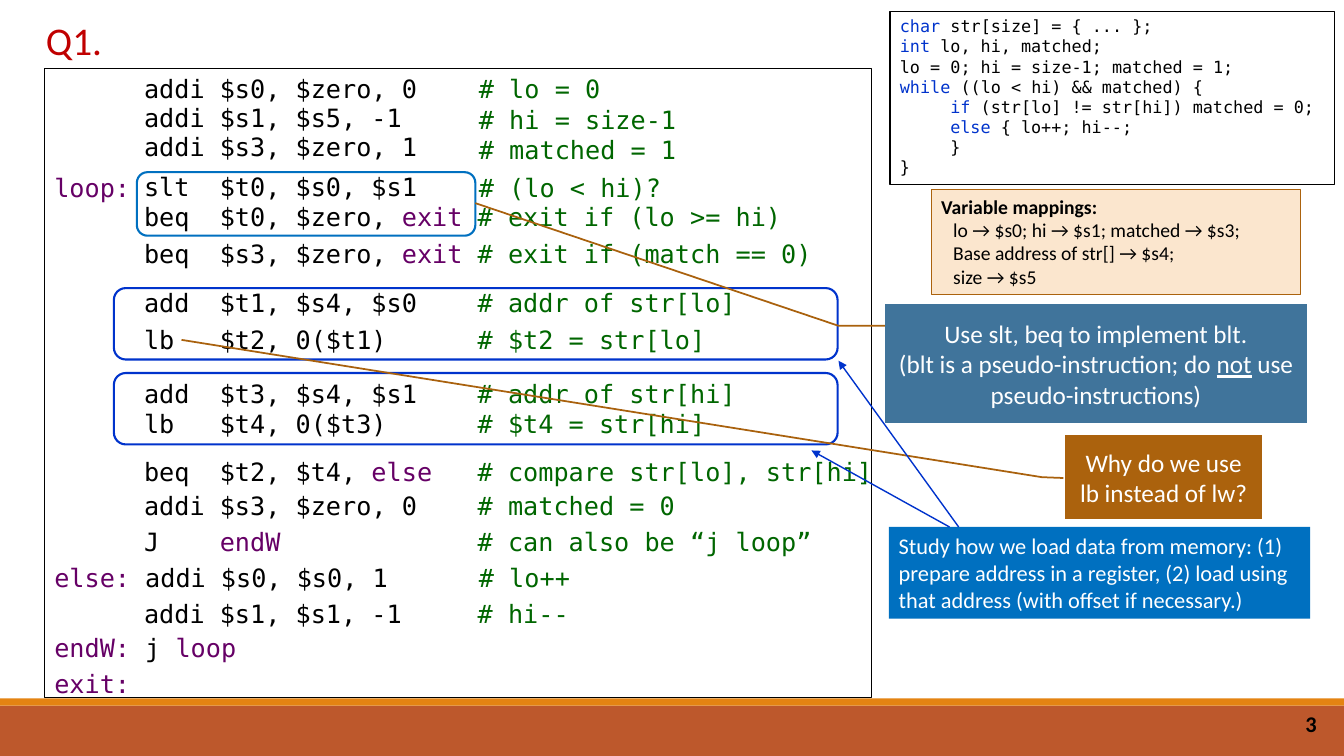
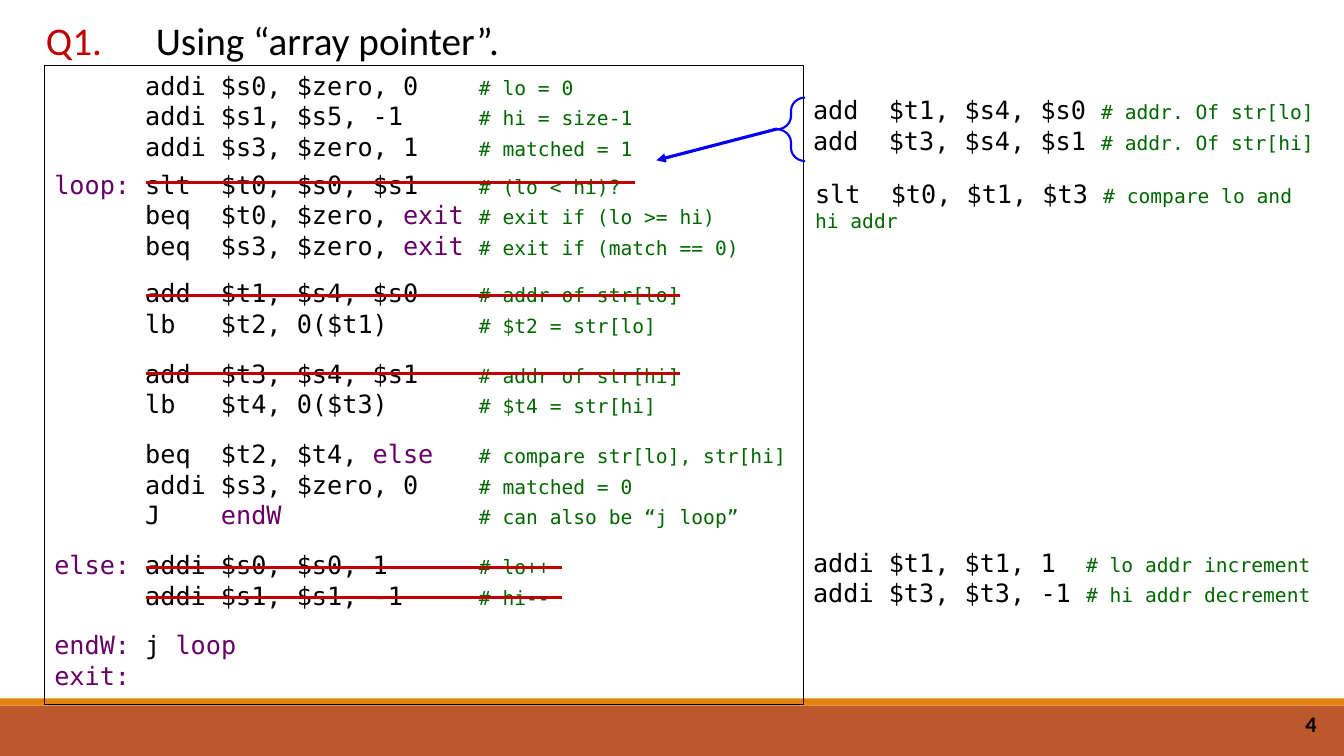
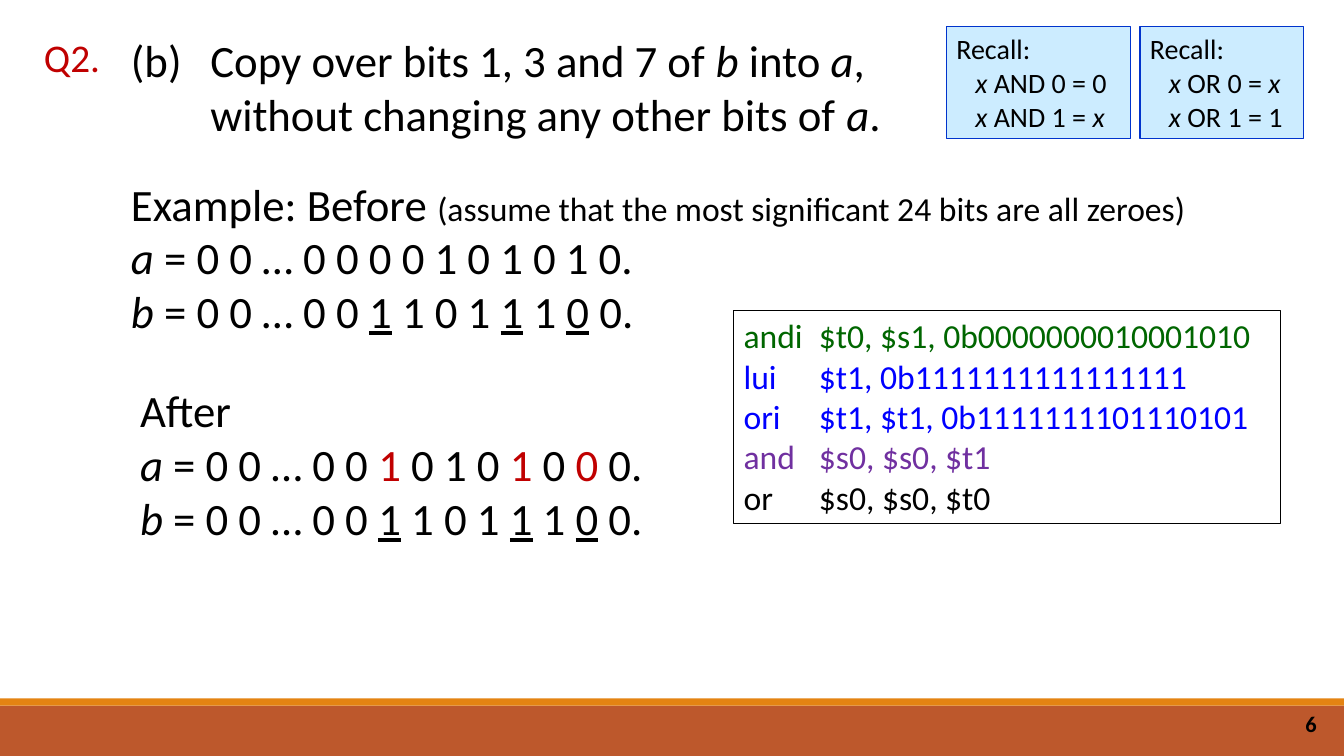
import pptx
import pptx.dml.color
import pptx.enum.shapes
import pptx.enum.text
import pptx.oxml.ns
import pptx.util
import lxml.etree

Cm = pptx.util.Cm
Pt = pptx.util.Pt
SHAPE = pptx.enum.shapes.MSO_SHAPE
ALIGN = pptx.enum.text.PP_ALIGN
ANCHOR = pptx.enum.text.MSO_ANCHOR
qn = pptx.oxml.ns.qn

SANS = "Calibri"
MONO = "DejaVu Sans Mono"
COLORS = {
    "black": "000000", "white": "FFFFFF", "red": "C00000", "green": "006600",
    "purple": "660066", "violet": "7030A0", "keyword": "0033CC", "blue": "0000FF",
    "azure": "0070C0", "steel": "40749B", "brown": "AB620D", "leader": "A9610D",
    "cream": "FBE6CE", "ice": "CCECFF", "band": "BD582C", "stripe": "E48312",
}


def rgb(name):
    return pptx.dml.color.RGBColor.from_string(COLORS[name])


def add_box(slide, text, left, top, width, height, *, geometry=SHAPE.RECTANGLE,
            adjustments=(), fill=None, line=None, line_width=0.75, font=SANS,
            size=18, color="black", bold=False, align=ALIGN.LEFT,
            anchor=ANCHOR.TOP, tabs=(), hanging=0, space_before={}):
    """Text lines are paragraphs; "|style words|" starts a run in that style."""
    place = [Cm(length) for length in (left, top, width, height)]
    if fill or line:
        shape = slide.shapes.add_shape(geometry, *place)
        shape.shadow.inherit = False
        for index, value in enumerate(adjustments):
            shape.adjustments[index] = value
    else:
        shape = slide.shapes.add_textbox(*place)
    if fill:
        shape.fill.solid()
        shape.fill.fore_color.rgb = rgb(fill)
    else:
        shape.fill.background()
    if line:
        shape.line.color.rgb = rgb(line)
        shape.line.width = Pt(line_width)
    else:
        shape.line.fill.background()

    frame = shape.text_frame
    frame.word_wrap = True
    frame.vertical_anchor = anchor
    for index, content in enumerate(text.split("\n") if text else []):
        paragraph = frame.add_paragraph() if index else frame.paragraphs[0]
        paragraph.alignment = align
        paragraph.space_before = Pt(space_before.get(index, 0))
        properties = paragraph._p.get_or_add_pPr()
        if hanging:
            properties.set("marL", str(Cm(hanging)))
            properties.set("indent", str(-Cm(hanging)))
        if tabs:
            tab_list = lxml.etree.SubElement(properties, qn("a:tabLst"))
            for position in tabs:
                lxml.etree.SubElement(tab_list, qn("a:tab"), pos=str(Cm(position)), algn="l")
        pieces = ["", *content.split("|")]
        for style, words in zip(pieces[::2], pieces[1::2]):
            if not words:
                continue
            run = paragraph.add_run()
            run.text = words
            run.font.name = font
            run.font.size = Pt(size)
            run.font.bold = bold
            run.font.color.rgb = rgb(color)
            for word in style.split():
                if word == "i":
                    run.font.italic = True
                elif word == "u":
                    run.font.underline = True
                elif word.isdigit():
                    run.font.size = Pt(int(word))
                else:
                    run.font.color.rgb = rgb(word)


# Slides with the shared bands, page number and question label
presentation = pptx.Presentation()
presentation.slide_width = Cm(33.87)
presentation.slide_height = Cm(19.05)
slides = []
for number, question, left, top in [("3", "Q1.", 0.61, 0.28), ("4", "Q1.", 0.61, 0.28),
                                    ("6", "Q2.", 0.56, 0.71)]:
    slide = presentation.slides.add_slide(presentation.slide_layouts[6])
    add_box(slide, "", 0, 17.78, 33.87, 1.27, fill="band")
    add_box(slide, "", 0, 17.6, 33.87, 0.18, fill="stripe")
    add_box(slide, number, 25.81, 17.73, 7.62, 1.02, size=16, bold=True,
            align=ALIGN.RIGHT, anchor=ANCHOR.MIDDLE)
    add_box(slide, question, left, top, 2.51, 1.45, size=28, color="red", align=ALIGN.CENTER)
    slides.append(slide)
program_slide, pointer_slide, bits_slide = slides

# The assembly program: label, instruction, comment
program = [
    ("", "addi\t$s0, $zero, 0", "# lo = 0"),
    ("", "addi\t$s1, $s5, -1", "# hi = size-1"),
    ("", "addi\t$s3, $zero, 1", "# matched = 1"),
    ("loop:", "slt\t$t0, $s0, $s1", "# (lo < hi)?"),
    ("", "beq\t$t0, $zero, |purple|exit", "# exit if (lo >= hi)"),
    ("", "beq\t$s3, $zero, |purple|exit", "# exit if (match == 0)"),
    ("", "add\t$t1, $s4, $s0", "# addr of str[lo]"),
    ("", "lb\t$t2, 0($t1)", "# $t2 = str[lo]"),
    ("", "add\t$t3, $s4, $s1", "# addr of str[hi]"),
    ("", "lb\t$t4, 0($t3)", "# $t4 = str[hi]"),
    ("", "beq\t$t2, $t4, |purple|else", "# compare str[lo], str[hi]"),
    ("", "addi\t$s3, $zero, 0", "# matched = 0"),
    ("", "J\t|purple|endW", "# can also be “j loop”"),
    ("else:", "addi\t$s0, $s0, 1", "# lo++"),
    ("", "addi\t$s1, $s1, -1", "# hi--"),
    ("endW:", "j |purple|loop", ""),
    ("exit:", "", ""),
]
full_tabs = [2.29, 4.2, 10.7]
body_tabs = [1.91, 8.41]

# Slide 1: C source and variable mappings
add_box(program_slide, """|keyword|char ||str[size] = { ... };
|keyword|int ||lo, hi, matched;
lo = 0; hi = size-1; matched = 1;
|keyword|while|| ((lo < hi) && matched) {
\t|keyword|if ||(str[lo] != str[hi]) matched = 0;
\t|keyword|else|| { lo++; hi--;
\t}
}""", 22.43, 0.28, 11.2, 4.37, line="black", font=MONO, size=12, tabs=[1.27])
add_box(program_slide, "Variable mappings:", 23.47, 4.78, 9.3, 2.64,
        fill="cream", line="brown", size=14, bold=True)
add_box(program_slide, "lo → $s0; hi → $s1; matched → $s3;\nBase address of str[] → $s4;\nsize → $s5",
        23.77, 5.36, 9, 2.04, size=14)

# Slide 1: program frame with the first comments, then the lines
frame_text = "\n".join(f"|purple|{label}\t\t\t|green|{comment}" for label, _, comment in program[:4])
add_box(program_slide, frame_text, 1.12, 1.73, 20.85, 15.85, line="black", font=MONO,
        tabs=full_tabs, space_before={3: 6})
line_tops = [1.73, 2.46, 3.18, 4.19, 4.95, 5.87, 7.11, 8.05, 9.4, 10.16,
             11.38, 12.24, 13.13, 14.05, 14.94, 15.82, 16.71]
for index, ((label, instruction, comment), top) in enumerate(zip(program, line_tops)):
    text = instruction
    if comment and index > 3:
        text += f"||\t|green|{comment}"
    if label and index > 3:
        text = f"|purple|{label}" + (f"||\t{text}" if text else "")
        add_box(program_slide, text, 1.12, top, 17.12, 1.02, font=MONO, tabs=full_tabs)
    else:
        add_box(program_slide, text, 3.38, top, 19.3, 1.02, font=MONO, tabs=body_tabs)

# Slide 1: outlines and notes
for left, top, width, height, color in [(3.45, 4.34, 8.53, 1.6, "azure"),
                                        (2.87, 7.26, 18.24, 1.8, "keyword"),
                                        (2.87, 9.4, 18.24, 1.8, "keyword")]:
    add_box(program_slide, "", left, top, width, height, geometry=SHAPE.ROUNDED_RECTANGLE,
            line=color, line_width=1.5)
callouts = [
    ("Why do we use lb instead of lw?", 26.85, 10.97, 4.95, 2.11, "brown",
     (0.51, -0.01, 0.5, -0.12, -1.14, -4.5)),
    ("Use slt, beq to implement blt.\n(blt is a pseudo-instruction; do |u|not|| use pseudo-instructions)",
     22.3, 7.67, 10.64, 3, "steel", (0.18, 0, 0.18, -0.11, -0.85, -0.97)),
]
for text, left, top, width, height, fill, adjustments in callouts:
    add_box(program_slide, text, left, top, width, height, fill=fill, line="leader",
            line_width=1.25, geometry=SHAPE.LINE_CALLOUT_2_NO_BORDER, color="white",
            adjustments=adjustments, align=ALIGN.CENTER, anchor=ANCHOR.MIDDLE)
add_box(program_slide, "Study how we load data from memory: (1) prepare address in a register, "
        "(2) load using that address (with offset if necessary.)",
        22.4, 13.28, 10.62, 2.31, fill="azure", size=16, color="white")

# Slide 2: heading, whole program and replacement code
add_box(pointer_slide, "Using “array pointer”.", 3.68, 0.28, 15.16, 1.45, size=28)
listing = []
for label, instruction, comment in program:
    text = f"|purple|{label}"
    if instruction:
        text += f"||\t{instruction}"
    if comment:
        text += f"||\t|green 14|{comment}"
    listing.append(text)
add_box(pointer_slide, "\n".join(listing), 1.12, 1.65, 19.13, 16.1, line="black", font=MONO,
        tabs=full_tabs, space_before={3: 6, 6: 12.5, 8: 14, 10: 14.5, 13: 14.5, 15: 14})
add_box(pointer_slide, "", 19.58, 2.46, 0.71, 1.6, geometry=SHAPE.LEFT_BRACE,
        adjustments=(0.47, 0.5), line="blue", line_width=1.5)
replacements = [
    (20.24, 2.26, 1.8, "add\t$t1, $s4, $s0 |green 14|# addr. Of str[lo]\n"
                       "add\t$t3, $s4, $s1 |green 14|# addr. Of str[hi]"),
    (20.29, 4.37, 1.63, "slt\t$t0, $t1, $t3 |green 14|# compare lo and hi addr"),
    (20.24, 13.67, 1.8, "addi\t$t1, $t1, 1\t|green 14|# lo addr increment\n"
                        "addi\t$t3, $t3, -1\t|green 14|# hi addr decrement"),
]
for left, top, height, text in replacements:
    add_box(pointer_slide, text, left, top, 13.18, height, font=MONO, tabs=[1.91, 6.88])

# Arrows and strike-out lines: slide, start, end, colour, width, arrowhead
lines = [
    (program_slide, (24.16, 13.28), (21.13, 9.09), "keyword", 1, True),
    (program_slide, (23.93, 13.28), (20.45, 11.35), "keyword", 1, True),
    (pointer_slide, (19.58, 3.25), (16.54, 4.04), "blue", 2.25, True),
]
for top, right in [(4.6, 16), (7.44, 17.15), (9.42, 17.15), (14.3, 14.17), (15.06, 14.17)]:
    lines.append((pointer_slide, (3.68, top), (right, top), "red", 2.25, False))
for slide, start, end, color, width, arrow in lines:
    connector = slide.shapes.add_connector(pptx.enum.shapes.MSO_CONNECTOR.STRAIGHT,
                                           *[Cm(length) for length in start + end])
    connector.line.color.rgb = rgb(color)
    connector.line.width = Pt(width)
    properties = connector._element.spPr
    if arrow:
        lxml.etree.SubElement(properties.find(qn("a:ln")), qn("a:tailEnd"), type="triangle")
    lxml.etree.SubElement(properties, qn("a:effectLst"))

# Slide 3: question and example
add_box(bits_slide, "(b)\tCopy over bits 1, 3 and 7 of |i|b ||into |i|a||, "
        "without changing any other bits of |i|a||.",
        3.05, 0.71, 22.25, 3, size=32, hanging=2)
b_bits = "|i|b|| = 0 0 … 0 0 |u|1|| 1 0 1 |u|1|| 1 |u|0|| 0."
add_box(bits_slide, "Example: Before |24|(assume that the most significant 24 bits are all zeroes)\n"
        "|i|a|| = 0 0 … 0 0 0 0 1 0 1 0 1 0.\n" + b_bits,
        3.05, 4.32, 27.28, 4.37, size=32)
add_box(bits_slide, "After\n|i|a|| = 0 0 … 0 0 |red|1|| 0 1 0 |red|1|| 0 |red|0|| 0.\n" + b_bits,
        3.28, 9.53, 14.2, 4.37, size=32)

# Slide 3: answer and reminders
add_box(bits_slide, """|green|andi\t$t0, $s1, 0b0000000010001010
|blue|lui\t$t1, 0b1111111111111111
|blue|ori\t$t1, $t1, 0b1111111101110101
|violet|and\t$s0, $s0, $t1
or\t$s0, $s0, $t0""", 18.49, 7.82, 13.79, 5.38, line="black", size=24, tabs=[1.9])
for left, width, zero_rule, one_rule in [(23.85, 4.65, "AND 0 = 0", "AND 1 = |i|x"),
                                         (28.73, 4.11, "OR 0 = |i|x", "OR 1 = 1")]:
    add_box(bits_slide, f"Recall:\n\t|i|x|| {zero_rule}\n\t|i|x|| {one_rule}",
            left, 0.68, width, 2.82, fill="ice", line="keyword", size=20, tabs=[0.48])

presentation.save("out.pptx")
